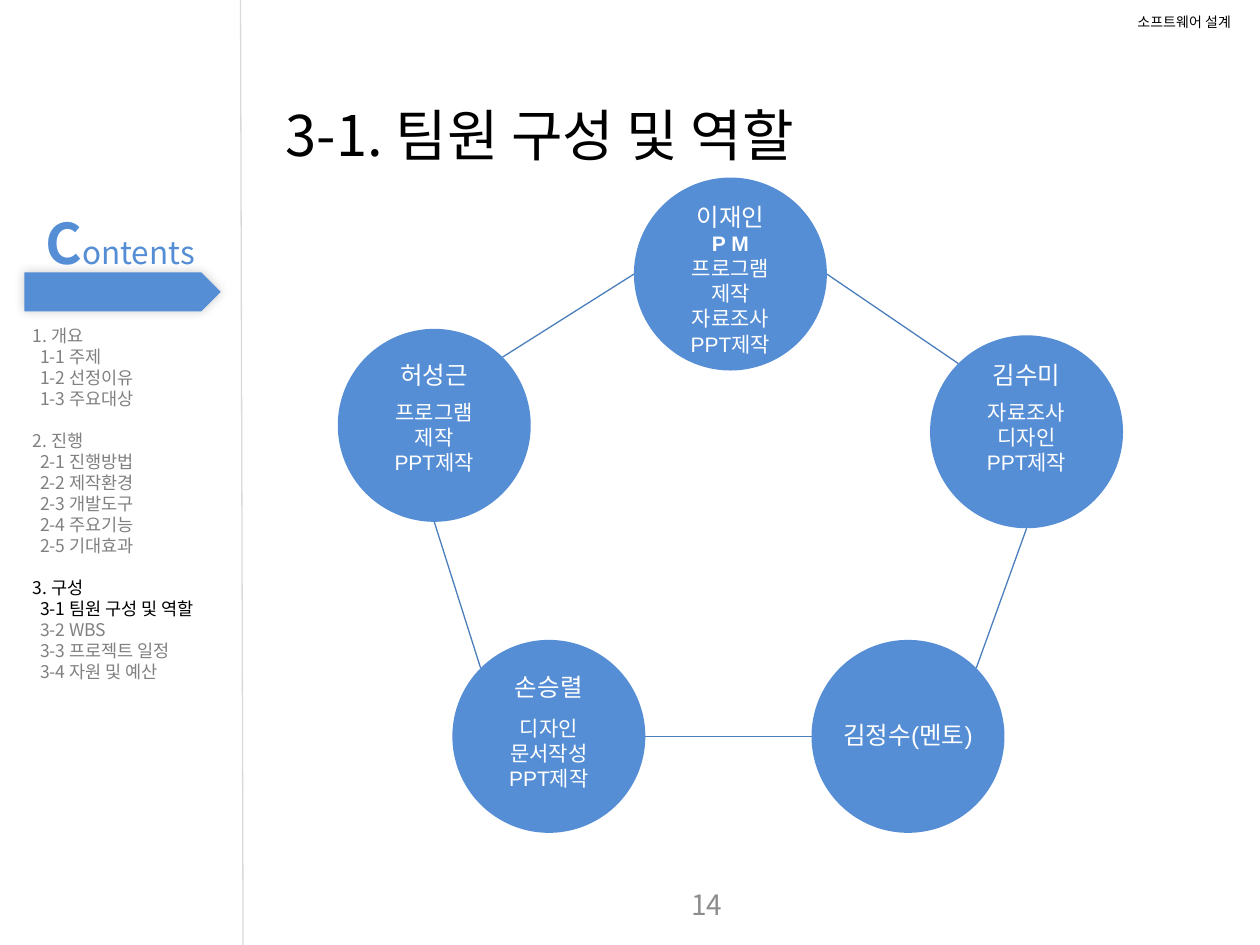
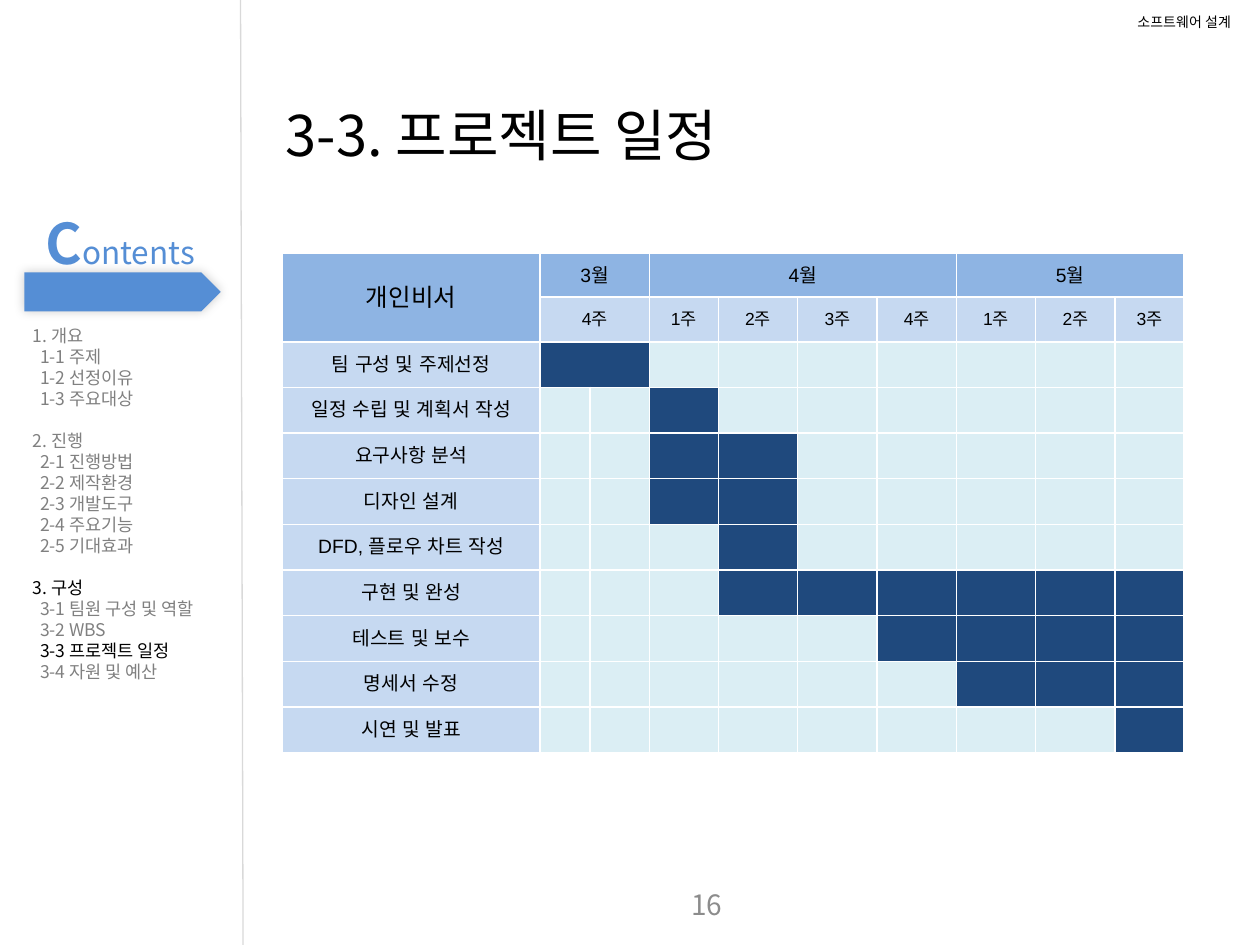
from math import cos, radians, sin

from lxml.etree import SubElement
from pptx import Presentation
from pptx.dml.color import RGBColor
from pptx.enum.shapes import MSO_CONNECTOR, MSO_SHAPE
from pptx.enum.text import MSO_ANCHOR, PP_ALIGN
from pptx.oxml.ns import qn
from pptx.util import Cm, Pt

COLORS = {
    "blue": "558ED5", "link": "4B7EBC", "rule": "D9D9D9", "text": "000000",
    "muted": "808080", "number": "8C8C8C", "white": "FFFFFF", "head": "8EB4E3",
    "label": "C6D9F1", "idle": "DBEEF4", "busy": "1F497D",
}
SANS, ARIAL = "Noto Sans CJK KR", "Arial"
CENTER, RIGHT = PP_ALIGN.CENTER, PP_ALIGN.RIGHT

MENU = [
    ["1. 개요", "1-1 주제", "1-2 선정이유", "1-3 주요대상"],
    ["2. 진행", "2-1 진행방법", "2-2 제작환경", "2-3 개발도구", "2-4 주요기능",
     "2-5 기대효과"],
    ["3. 구성", "3-1 팀원 구성 및 역할", "3-2 WBS", "3-3 프로젝트 일정",
     "3-4 자원 및 예산"],
]

DIAMETER = 3.89
MEMBERS = {
    "허성근": {"at": (6.81, 6.63), "name_top": 0.51, "role_top": 1.3,
            "roles": ["프로그램", "제작", "PPT제작"]},
    "손승렬": {"at": (9.12, 12.9), "name_top": 0.53, "role_top": 1.4,
            "roles": ["디자인", "문서작성", "PPT제작"]},
    "김정수(멘토)": {"at": (16.36, 12.9), "name_top": 1.5, "role_top": 0, "roles": []},
    "김수미": {"at": (18.75, 6.76), "name_top": 0.38, "role_top": 1.17,
            "roles": ["자료조사", "디자인", "PPT제작"]},
    "이재인": {"at": (12.78, 3.58), "name_top": 0.36, "role_top": 0.94,
            "roles": ["P M", "프로그램", "제작", "자료조사", "PPT제작"]},
}
LINKS = [
    ("이재인", 180, "허성근", 315), ("허성근", 90, "손승렬", 225),
    ("이재인", 0, "김수미", 225), ("손승렬", 0, "김정수(멘토)", 180),
    ("김수미", 90, "김정수(멘토)", 315),
]

COL_WIDTHS = [5.2, 1, 1.2, 1.39, 1.6, 1.6, 1.6, 1.6, 1.6, 1.39]
MONTHS = [("3월", 1, 2), ("4월", 3, 6), ("5월", 7, 9)]
WEEKS = ["4주", "", "1주", "2주", "3주", "4주", "1주", "2주", "3주"]
TASKS = [
    ("팀 구성 및 주제선정", 1, 2), ("일정 수립 및 계획서 작성", 3, 3),
    ("요구사항 분석", 3, 4), ("디자인 설계", 3, 4), ("DFD, 플로우 차트 작성", 4, 4),
    ("구현 및 완성", 4, 9), ("테스트 및 보수", 6, 9), ("명세서 수정", 7, 9),
    ("시연 및 발표", 9, 9),
]


def rgb(name):
    """Return the named colour."""
    return RGBColor.from_string(COLORS[name])


def add_run(p, text, size, color="text", font=SANS, bold=False):
    """Append a formatted run to a paragraph."""
    r = p.add_run()
    r.text = text
    for key, value in {"name": font, "size": Pt(size), "bold": bold}.items():
        setattr(r.font, key, value)
    r.font.color.rgb = rgb(color)
    SubElement(r._r.get_or_add_rPr(), qn("a:ea"), typeface=font)


def add_text(s, box, lines, align=PP_ALIGN.LEFT, pitch=None, wrap=True, anchor=MSO_ANCHOR.TOP):
    """Add a text box; each line is a list of run formats."""
    tf = s.shapes.add_textbox(*map(Cm, box)).text_frame
    tf.word_wrap, tf.vertical_anchor = wrap, anchor
    for i, runs in enumerate(lines):
        p = tf.add_paragraph() if i else tf.paragraphs[0]
        p.alignment = align
        if pitch:
            p.line_spacing = Pt(pitch)
        for run in runs:
            add_run(p, **run)
    return tf


def add_shape(s, kind, box):
    """Add a blue shape without outline or inherited shadow."""
    sp = s.shapes.add_shape(kind, *map(Cm, box))
    sp.shadow.inherit = False
    sp.fill.solid()
    sp.fill.fore_color.rgb = rgb("blue")
    sp.line.fill.background()
    return sp


def add_line(s, start, end, color):
    """Add a thin straight line."""
    c = s.shapes.add_connector(MSO_CONNECTOR.STRAIGHT, *map(Cm, (*start, *end)))
    c.line.color.rgb = rgb(color)
    c.line.width = Pt(0.75)
    SubElement(c._element.spPr, qn("a:effectLst"))


def add_sidebar(s, x, y, active):
    """Add the contents heading, its arrow and the menu."""
    sp = add_shape(s, MSO_SHAPE.PENTAGON, (x + 0.08, y, 3.96, 0.79))
    shadow = SubElement(sp._element.spPr.find(qn("a:effectLst")), qn("a:outerShdw"),
                        blurRad=str(Pt(6)), dist="0", dir="18900000", rotWithShape="0")
    black = SubElement(shadow, qn("a:srgbClr"), val=COLORS["text"])
    SubElement(black, qn("a:alpha"), val="20000")

    heading = [{"text": "C", "size": 32, "color": "blue", "bold": True},
               {"text": "ontents", "size": 18, "color": "blue"}]
    add_text(s, (x - 0.04, y - 1.42, 3.81, 1.63), [heading], RIGHT, 38.4, wrap=False)

    entries = [(text, i) for group in MENU for i, text in enumerate(group)]
    lines = [[{"text": text, "size": 10, "color": "text" if text in active else "muted"}]
             for text, _ in entries]
    tf = add_text(s, (x, y + 0.94, 5.77, 7.52), lines, pitch=12)
    for n, (p, (_, i)) in enumerate(zip(tf.paragraphs, entries)):
        if i:
            p._p.get_or_add_pPr().set("marL", str(Cm(0.15)))
        elif n:
            p.space_before = Pt(12)


def add_frame(prs, title, number, active):
    """Add a slide with the shared title, sidebar, divider and page number."""
    s = prs.slides.add_slide(prs.slide_layouts[6])
    add_line(s, (4.9, 19.05), (4.85, 0), "rule")
    add_sidebar(s, 0.41, 5.49, ("3. 구성", active))
    add_text(s, (5.51, 1.9, 13.94, 1.63), [[{"text": title, "size": 32}]], pitch=38.4)
    add_text(s, (22.68, 0.15, 2.59, 0.61), [[{"text": "소프트웨어 설계", "size": 8}]],
             pitch=9.6, wrap=False)
    add_text(s, (8.89, 17.73, 5.92, 1.02),
             [[{"text": number, "size": 16, "color": "number"}]],
             RIGHT, anchor=MSO_ANCHOR.MIDDLE)
    return s


def circle_point(name, angle):
    """Return the point of a member's circle at a clockwise angle."""
    r = DIAMETER / 2
    x, y = MEMBERS[name]["at"]
    return x + r + r * cos(radians(angle)), y + r + r * sin(radians(angle))


def add_member(s, name, at, name_top, role_top, roles):
    """Add a circle with a member's name and roles."""
    x, y = at
    add_shape(s, MSO_SHAPE.OVAL, (x, y, DIAMETER, DIAMETER))
    look = {"color": "white", "font": ARIAL}
    inner = DIAMETER - 0.5
    add_text(s, (x + 0.25, y + name_top, inner, 0.86),
             [[{"text": name, "size": 14, **look}]], CENTER)
    if roles:
        lines = [[{"text": role, "size": 12, "bold": role == "P M", **look}]
                 for role in roles]
        add_text(s, (x + 0.25, y + role_top, inner, 0.3 + 0.5 * len(roles)), lines, CENTER)


def add_team(s):
    """Add the ring of members and the lines between them."""
    for name, member in MEMBERS.items():
        add_member(s, name, **member)
    for a, angle_a, b, angle_b in LINKS:
        add_line(s, circle_point(a, angle_a), circle_point(b, angle_b), "link")


def fill_cell(cell, fill, text="", size=10):
    """Set a cell's fill, white borders, margins and centred text."""
    margins = {"margin_left": Cm(0.23), "margin_right": Cm(0.23),
               "margin_top": Cm(0.1), "margin_bottom": Cm(0.1),
               "vertical_anchor": MSO_ANCHOR.MIDDLE}
    for key, value in margins.items():
        setattr(cell, key, value)
    tcPr = cell._tc.get_or_add_tcPr()
    for side in ("lnL", "lnR", "lnT", "lnB"):
        ln = SubElement(tcPr, qn(f"a:{side}"), w=str(Pt(1)))
        SubElement(SubElement(ln, qn("a:solidFill")), qn("a:srgbClr"), val=COLORS["white"])
    cell.fill.solid()
    cell.fill.fore_color.rgb = rgb(fill)
    p = cell.text_frame.paragraphs[0]
    p.alignment = CENTER
    if text:
        add_run(p, text, size, font=ARIAL)
    else:
        SubElement(p._p, qn("a:endParaRPr"), sz=str(size * 100))


def add_schedule(s, x, y):
    """Add the week-by-week schedule table."""
    rows, cols = len(TASKS) + 2, len(COL_WIDTHS)
    heights = [0.88, 0.9] + [0.92] * len(TASKS)
    box = (x, y, sum(COL_WIDTHS), sum(heights))
    table = s.shapes.add_table(rows, cols, *map(Cm, box)).table
    for col, width in zip(table.columns, COL_WIDTHS):
        col.width = Cm(width)
    for row, height in zip(table.rows, heights):
        row.height = Cm(height)

    months = {first: month for month, first, _ in MONTHS}
    fill_cell(table.cell(0, 0), "head", "개인비서", 14)
    fill_cell(table.cell(1, 0), "head")
    for c, week in enumerate(WEEKS, 1):
        fill_cell(table.cell(0, c), "head", months.get(c, ""), 11)
        fill_cell(table.cell(1, c), "label", week)
    for r, (task, first, last) in enumerate(TASKS, 2):
        fill_cell(table.cell(r, 0), "label", task, 11)
        for c in range(1, cols):
            fill_cell(table.cell(r, c), "busy" if first <= c <= last else "idle")

    spans = [(0, first, 0, last) for _, first, last in MONTHS]
    for r1, c1, r2, c2 in spans + [(0, 0, 1, 0), (1, 1, 1, 2), (2, 1, 2, 2)]:
        table.cell(r1, c1).merge(table.cell(r2, c2))


def main():
    """Build and save the presentation."""
    prs = Presentation()
    prs.slide_width, prs.slide_height = Cm(25.4), Cm(19.05)
    add_team(add_frame(prs, "3-1. 팀원 구성 및 역할", "14", "3-1 팀원 구성 및 역할"))
    add_schedule(add_frame(prs, "3-3. 프로젝트 일정", "16", "3-3 프로젝트 일정"), 5.69, 5.11)
    prs.save("out.pptx")


if __name__ == "__main__":
    main()
